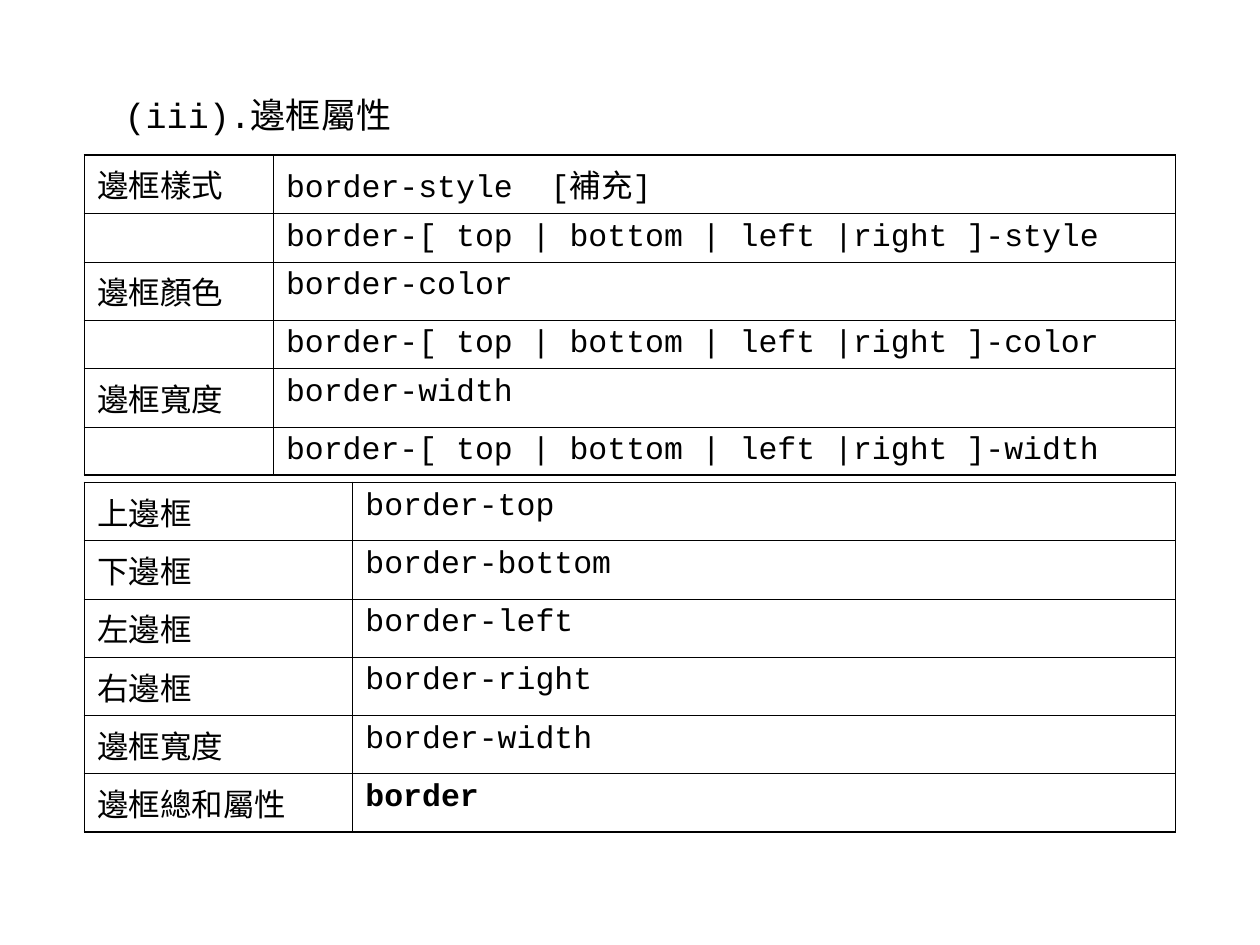
from lxml.etree import SubElement
from pptx import Presentation
from pptx.dml.color import RGBColor
from pptx.enum.text import MSO_ANCHOR, MSO_AUTO_SIZE, PP_ALIGN
from pptx.oxml.ns import qn
from pptx.util import Inches, Pt

FONT = "Courier New"
INK = "000000"
OUTER, INNER = 1.08, 0.45
TALL, SHORT = 0.46, 0.38
LEFT, WIDTH = 0.67, 8.66
SIDES = "[ top | bottom | left |right ]"

DETAIL_ROWS = [
    row
    for label, name, note in [
        ("邊框樣式", "style", "  [補充]"),
        ("邊框顏色", "color", ""),
        ("邊框寬度", "width", ""),
    ]
    for row in [(label, f"border-{name}{note}"), ("", f"border-{SIDES}-{name}")]
]
SHORTHAND_ROWS = [
    ("上邊框", "border-top"),
    ("下邊框", "border-bottom"),
    ("左邊框", "border-left"),
    ("右邊框", "border-right"),
    ("邊框寬度", "border-width"),
    ("邊框總和屬性", "border"),
]


def color(value):
    """Turn a hex string into a colour."""
    return RGBColor.from_string(value)


def write(frame, text, size=18, bold=False, spacing=1.0):
    """Put one formatted line of text into a text frame."""
    paragraph = frame.paragraphs[0]
    paragraph.alignment = PP_ALIGN.LEFT
    paragraph.line_spacing = spacing
    run = paragraph.add_run()
    run.text = text
    run.font.name = FONT
    run.font.size = Pt(size)
    run.font.bold = bold
    run.font.color.rgb = color(INK)


def add_borders(cell, widths):
    """Draw the left, right, top and bottom borders of a cell."""
    properties = cell._tc.get_or_add_tcPr()
    for side, width in zip("LRTB", widths):
        line = SubElement(properties, qn(f"a:ln{side}"), w=str(Pt(width)))
        fill = SubElement(line, qn("a:solidFill"))
        SubElement(fill, qn("a:srgbClr"), val=INK)


def add_title(slide, text, left, top, width, height):
    """Place the heading in the given box, indented from its left edge."""
    title = slide.shapes.title
    title.left, title.top = Inches(left), Inches(top)
    title.width, title.height = Inches(width), Inches(height)
    frame = title.text_frame
    frame.word_wrap = True
    frame.auto_size = MSO_AUTO_SIZE.NONE
    frame.vertical_anchor = MSO_ANCHOR.TOP
    frame.margin_left = Inches(0.48)
    write(frame, text, size=20, spacing=0.8)


def add_property_table(slide, rows, left, top, width, label_width, bold=()):
    """Place a two-column table of labels and properties with a heavy outline."""
    heights = [TALL if label else SHORT for label, _ in rows]
    table = slide.shapes.add_table(
        len(rows), 2, Inches(left), Inches(top), Inches(width), Inches(sum(heights))
    ).table
    table.first_row = table.horz_banding = False
    for column, share in zip(table.columns, (label_width, width - label_width)):
        column.width = Inches(share)
    for i, (texts, height) in enumerate(zip(rows, heights)):
        table.rows[i].height = Inches(height)
        for j, text in enumerate(texts):
            cell = table.cell(i, j)
            edges = (j == 0, j == 1, i == 0, i == len(rows) - 1)
            add_borders(cell, [OUTER if edge else INNER for edge in edges])
            cell.fill.background()
            cell.margin_top = cell.margin_bottom = Inches(0.05 if text else 0)
            if text:
                write(cell.text_frame, text, bold=text in bold)


def main():
    """Build the slide on border properties and save it."""
    presentation = Presentation()
    presentation.slide_width, presentation.slide_height = Inches(10), Inches(7.5)
    slide = presentation.slides.add_slide(presentation.slide_layouts[5])
    add_title(slide, "(iii).邊框屬性", 0.51, 0.76, 9, 6.22)
    add_property_table(slide, DETAIL_ROWS, LEFT, 1.23, WIDTH, 1.5)
    add_property_table(slide, SHORTHAND_ROWS, LEFT, 3.83, WIDTH, 2.13, bold=("border",))
    presentation.save("out.pptx")


if __name__ == "__main__":
    main()
